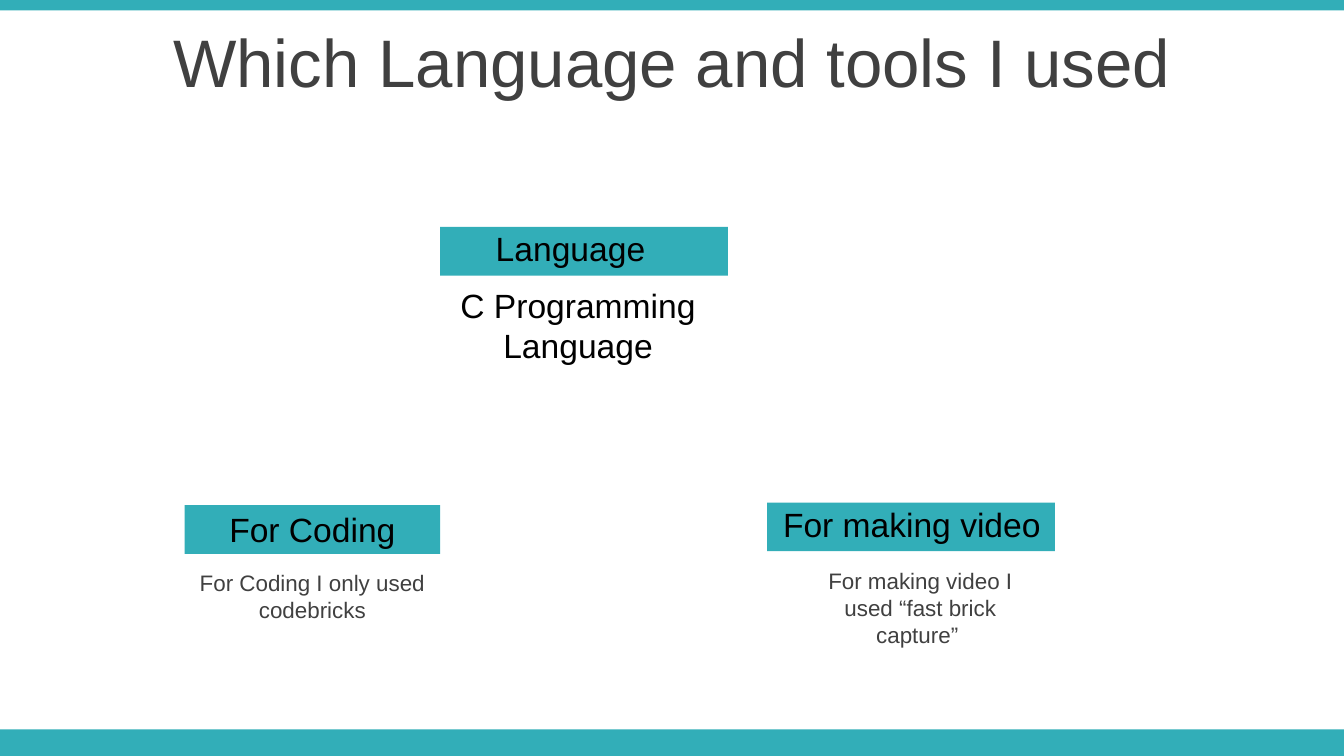
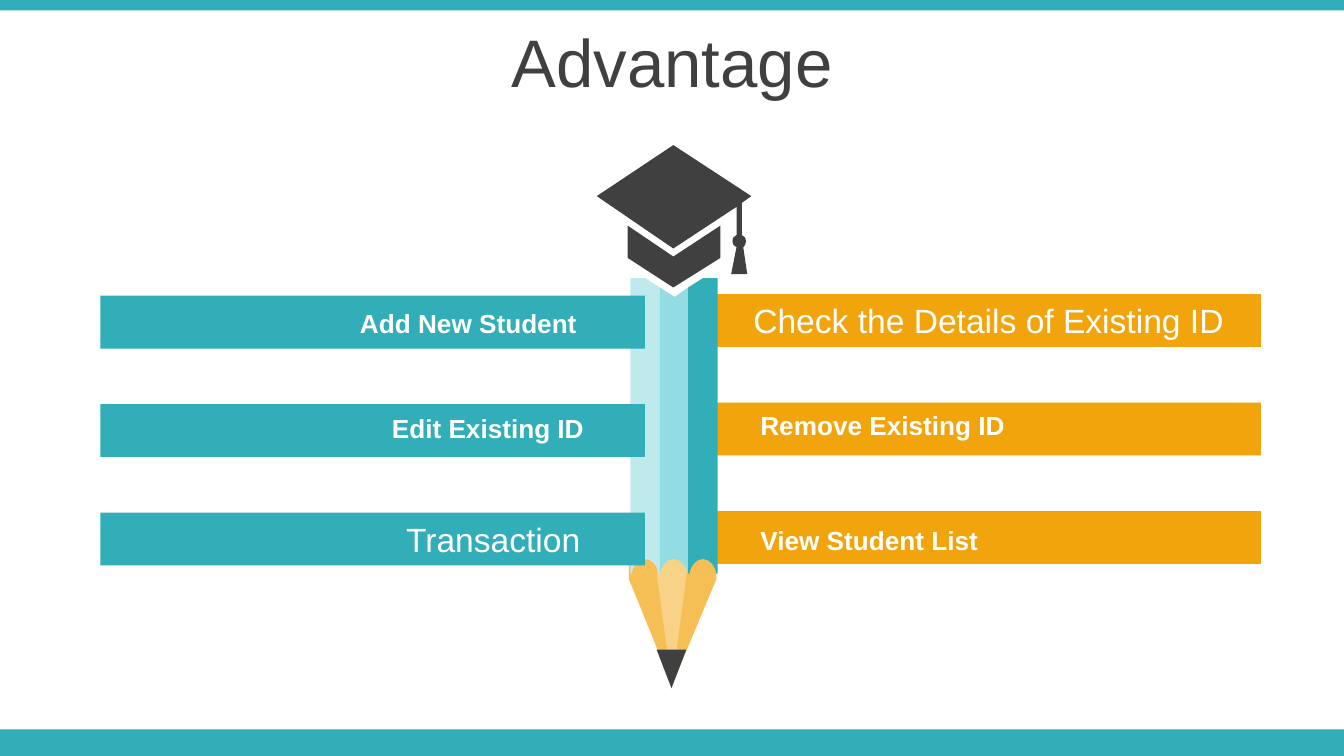
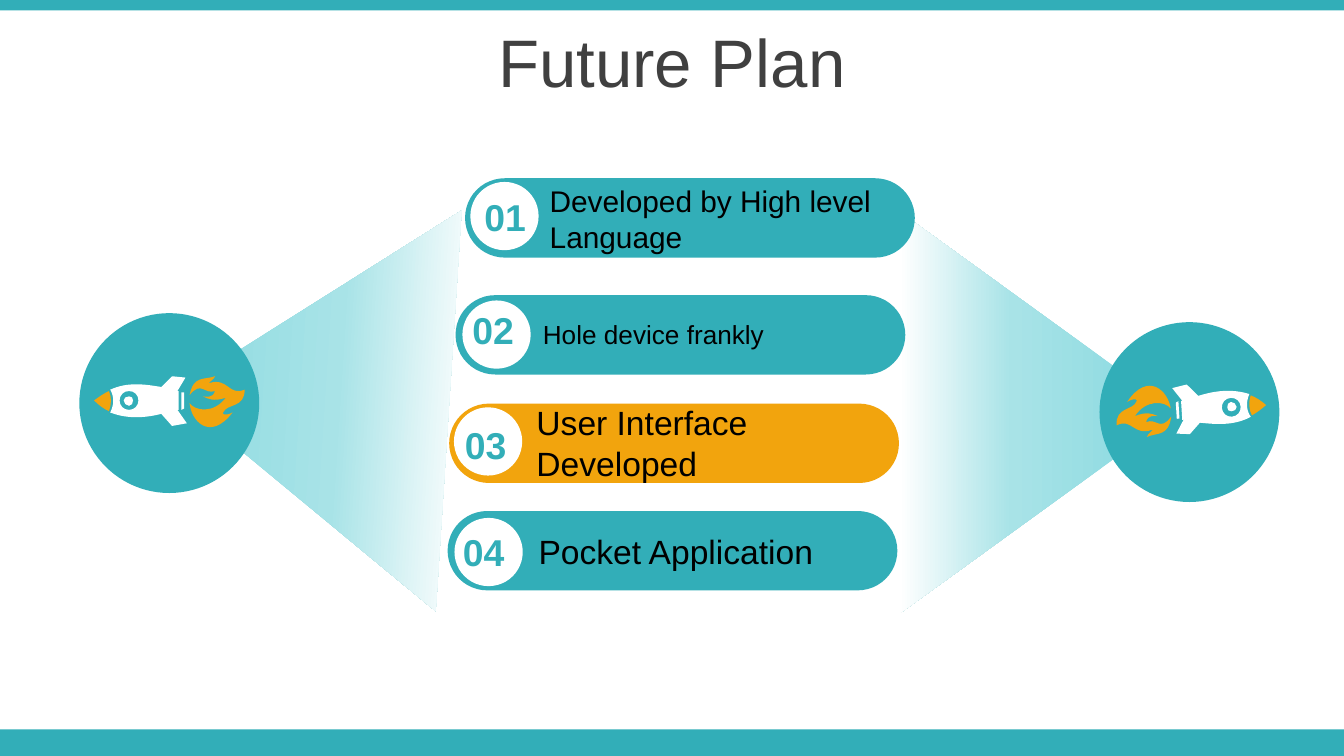
from copy import deepcopy
from dataclasses import dataclass
from math import cos, radians, sin

from pptx import Presentation
from pptx.dml.color import RGBColor
from pptx.enum.shapes import MSO_SHAPE as Preset
from pptx.enum.text import MSO_ANCHOR as Anchor, MSO_AUTO_SIZE as AutoSize, PP_ALIGN as Align
from pptx.oxml.ns import qn
from pptx.oxml.xmlchemy import OxmlElement
from pptx.shapes.autoshape import Shape
from pptx.slide import Slide
from pptx.util import Cm, Pt

Point = tuple[float, float]


@dataclass(frozen=True)
class Theme:
    font: str = "Arial"
    teal: str = "32AEB8"
    teal_light: str = "92DCE2"
    teal_pale: str = "BEEAED"
    orange: str = "F2A40D"
    wood: str = "F6BF56"
    wood_light: str = "F8D286"
    dark: str = "404040"
    black: str = "000000"
    white: str = "FFFFFF"
    beam: tuple[str, ...] = ("92DCE2", "A8E3E7", "FFFFFF")
    title: int = 36
    number: int = 20
    large: int = 18
    medium: int = 16
    small: int = 14
    note: int = 12


THEME = Theme()
SLIDE_WIDTH, SLIDE_HEIGHT = 25.4, 14.29
GRID = 0.0254


@dataclass(frozen=True)
class Box:
    left: float
    top: float
    width: float
    height: float


@dataclass(frozen=True)
class Style:
    size: int
    color: str = THEME.black
    bold: bool = False
    align: Align = Align.LEFT


@dataclass(frozen=True)
class Label:
    text: str
    box: Box
    style: Style


@dataclass(frozen=True)
class Tag:
    bar: Box
    heading: Label
    body: Label


@dataclass(frozen=True)
class Outline:
    route: str
    color: str


@dataclass(frozen=True)
class Place:
    left: float = 0
    top: float = 0
    turn: float = 0

    def locate(self, point: Point) -> Point:
        x, y = point[0] * GRID, point[1] * GRID
        c, s = cos(radians(self.turn)), sin(radians(self.turn))
        return Cm(self.left + x * c - y * s), Cm(self.top + x * s + y * c)


@dataclass(frozen=True)
class Step:
    pill: Point
    circle: Point
    number: Point
    label: Label
    color: str = THEME.teal


@dataclass(frozen=True)
class Launch:
    beam: Point
    beam_turn: float
    disk: Point
    rocket: Place


HEADING = Style(THEME.large, align=Align.CENTER)
NOTE = Style(THEME.note, THEME.dark, align=Align.CENTER)
BAR_LARGE = Style(THEME.large, THEME.white, align=Align.CENTER)
BAR_RIGHT = Style(THEME.small, THEME.white, True)
BAR_LEFT = Style(THEME.small, THEME.white, True, Align.RIGHT)

TAGS = (
    Tag(Box(3.49, 9.55, 4.83, 0.92),
        Label("For Coding", Box(3.49, 9.5, 4.83, 1.02), HEADING),
        Label("For Coding I only used codebricks", Box(3.49, 10.64, 4.83, 1.27), NOTE)),
    Tag(Box(14.5, 9.5, 5.44, 0.92),
        Label("For making video", Box(14.55, 9.4, 5.49, 1.02), Style(THEME.large)),
        Label("For making video I used “fast brick capture” ", Box(14.98, 10.6, 4.83, 1.8), NOTE)),
    Tag(Box(8.32, 4.29, 5.44, 0.92),
        Label("Language", Box(9.12, 4.19, 5.38, 1.02), Style(THEME.large)),
        Label("C Programming Language", Box(8.32, 5.26, 5.21, 1.8), HEADING)),
)

BAR_LABELS = (
    Label("Remove Existing ID", Box(14.12, 7.62, 6.58, 0.86), BAR_RIGHT),
    Label("View Student List", Box(14.12, 9.78, 6.58, 0.86), BAR_RIGHT),
    Label("Add New Student ", Box(4.71, 5.69, 6.58, 0.86), BAR_LEFT),
    Label("Edit Existing ID", Box(4.71, 7.67, 6.58, 0.86), BAR_LEFT),
)

PENCIL = (
    Outline("M 468 415 L 533 416 L 533 431 L 533 431 L 500 510 L 468 431 L 468 431 L 468 430 Z",
            THEME.wood),
    Outline("M 489 415 L 511 415 L 511 426 L 500 510 L 489 430 L 489 430 L 489 430 L 489 415 Z",
            THEME.wood_light),
    Outline("M 469 207 L 480 207 L 491 214 L 491 427 L 490 427 C 489 421 485 416 480 416 "
            "C 475 416 471 421 470 427 L 469 427 Z", THEME.teal_pale),
    Outline("M 491 214 L 502 221 L 512 214 L 512 427 L 512 427 C 511 421 506 416 501 416 "
            "C 496 416 492 421 491 427 L 491 427 Z", THEME.teal_light),
    Outline("M 523 207 L 534 207 L 534 427 L 533 427 C 532 421 528 416 523 416 "
            "C 518 416 514 421 513 427 L 512 427 L 512 214 Z", THEME.teal),
)
CAP = Outline(
    "M 467 168 L 501 191 L 536 168 L 536 192 L 501 214 L 467 192 Z "
    "M 501 108 L 559 146 L 552 151 L 552 175 C 554 176 555 177 555 180 C 555 182 554 183 553 184 "
    "L 556 204 L 544 204 L 548 184 C 546 183 545 182 545 180 C 545 177 546 176 548 175 "
    "L 548 154 L 501 185 L 444 146 Z", THEME.dark)

ROCKET = (
    Outline(
        "M 39 7 L 39 -6 C 40 -6 41 -6 41 -6 L 41 6 Z "
        "M -4 0 C -4 -2 -2 -3 0 -3 C 2 -3 3 -2 3 0 C 3 2 2 4 0 4 C -2 4 -4 2 -4 0 Z "
        "M -7 0 C -7 4 -4 7 0 7 C 4 7 7 4 7 0 C 7 -4 4 -7 0 -7 C -4 -7 -7 -4 -7 0 Z "
        "M -14 9 C -11 3 -11 -3 -14 -8 C -1 -14 12 -12 24 -10 L 32 -18 L 42 -17 L 36 -7 "
        "L 37 -7 L 37 7 C 37 7 36 7 36 7 L 43 17 L 32 19 L 24 10 L 24 10 L 24 10 "
        "C 12 13 -1 14 -14 9 Z", THEME.white),
    Outline("M -26 0 C -22 -3 -19 -5 -15 -7 C -13 -3 -13 3 -15 8 C -19 6 -22 4 -26 0 Z",
            THEME.orange),
    Outline(
        "M 45 2 C 49 8 63 10 72 -2 C 63 1 59 -1 55 -3 C 57 -3 62 -1 64 -7 C 56 -4 54 -15 45 -4 "
        "C 48 -19 56 -15 64 -18 C 64 -16 57 -12 60 -13 C 74 -17 74 -3 86 -8 C 86 6 73 2 70 9 "
        "C 69 10 71 12 77 9 C 60 31 46 15 45 2 Z", THEME.orange),
)

STEPS = (
    Step((8.79, 3.37), (8.89, 3.44), (8.19, 3.55),
         Label("Developed by High level Language", Box(10.14, 3.33, 6.68, 1.63), Style(THEME.medium))),
    Step((8.61, 5.58), (8.74, 5.68), (7.96, 5.69),
         Label("Hole device frankly", Box(10.01, 5.89, 6.68, 0.86), Style(THEME.small))),
    Step((8.49, 7.63), (8.58, 7.7), (7.82, 7.85),
         Label("User Interface Developed", Box(9.89, 7.48, 4.78, 1.8), Style(THEME.large)),
         THEME.orange),
    Step((8.46, 9.66), (8.59, 9.79), (7.78, 9.88),
         Label("Pocket Application", Box(9.93, 9.91, 6.05, 1.02), Style(THEME.large))),
)
RIGHT_LAUNCH = Launch((15.32, 5.69), 90, (20.78, 6.09), Place(23.27, 7.7, 176.4))
LEFT_LAUNCH = Launch((2.58, 5.52), 273.7, (1.5, 5.92), Place(2.44, 7.57))


def paint(shape: Shape, color: str) -> Shape:
    shape.shadow.inherit = False
    shape.fill.solid()
    shape.fill.fore_color.rgb = RGBColor.from_string(color)
    shape.line.fill.background()
    return shape


def add_preset(slide: Slide, preset: Preset, box: Box, color: str) -> Shape:
    shape = slide.shapes.add_shape(
        preset, Cm(box.left), Cm(box.top), Cm(box.width), Cm(box.height))
    return paint(shape, color)


def write(shape: Shape, text: str, style: Style) -> None:
    text_frame = shape.text_frame
    text_frame.word_wrap = True
    text_frame.text = text
    paragraph = text_frame.paragraphs[0]
    paragraph.alignment = style.align
    for run in paragraph.runs:
        run.font.name = THEME.font
        run.font.size = Pt(style.size)
        run.font.bold = style.bold
        run.font.color.rgb = RGBColor.from_string(style.color)


def add_label(slide: Slide, label: Label) -> Shape:
    box = label.box
    shape = slide.shapes.add_textbox(Cm(box.left), Cm(box.top), Cm(box.width), Cm(box.height))
    write(shape, label.text, label.style)
    shape.text_frame.auto_size = AutoSize.SHAPE_TO_FIT_TEXT
    return shape


def trace(contour: str) -> list[Point]:
    numbers = [float(token) for token in contour.split() if token not in "MLC"]
    return list(zip(numbers[::2], numbers[1::2]))


def bend(shape: Shape, route: str) -> None:
    lines = iter(list(shape._element.iter(qn("a:lnTo"))))
    for command in (token for token in route.split() if token in "LC"):
        line = next(lines)
        if command == "C":
            curve = OxmlElement("a:cubicBezTo")
            line.addprevious(curve)
            for control in (line, next(lines), next(lines)):
                curve.append(control[0])
                control.getparent().remove(control)


def add_outline(slide: Slide, outline: Outline, place: Place = Place()) -> None:
    builder = None
    for contour in outline.route.split("Z")[:-1]:
        start, *rest = map(place.locate, trace(contour))
        if builder is None:
            builder = slide.shapes.build_freeform(*start)
        else:
            builder.move_to(*start)
        builder.add_line_segments(rest, close=True)
    shape = paint(builder.convert_to_shape(), outline.color)
    bend(shape, outline.route)


def add_titled_slide(presentation: Presentation, title: str) -> Slide:
    slide = presentation.slides.add_slide(presentation.slide_layouts[6])
    for top, height in ((13.79, 0.5), (0, 0.2)):
        add_preset(slide, Preset.RECTANGLE, Box(0, top, SLIDE_WIDTH, height), THEME.teal)
    style = Style(THEME.title, THEME.dark, align=Align.CENTER)
    text_frame = add_label(slide, Label(title, Box(0, 0.34, SLIDE_WIDTH, 1.6), style)).text_frame
    text_frame.auto_size = AutoSize.NONE
    text_frame.vertical_anchor = Anchor.MIDDLE
    text_frame.paragraphs[0].space_before = Pt(THEME.title * 0.2)
    return slide


def build_tools(presentation: Presentation) -> None:
    slide = add_titled_slide(presentation, "Which Language and tools I used")
    for tag in TAGS:
        add_preset(slide, Preset.RECTANGLE, tag.bar, THEME.teal)
        add_label(slide, tag.heading)
        add_label(slide, tag.body)


def add_bars(slide: Slide, left: float, top: float, color: str) -> list[Shape]:
    return [add_preset(slide, Preset.RECTANGLE, Box(left, top + 2.05 * row, 10.29, 1), color)
            for row in range(3)]


def build_advantage(presentation: Presentation) -> None:
    slide = add_titled_slide(presentation, "Advantage")
    details_bar = add_bars(slide, 13.54, 5.56, THEME.orange)[0]
    write(details_bar, "Check the Details of Existing ID", BAR_LARGE)
    for outline in PENCIL:
        add_outline(slide, outline)
    tip = add_preset(slide, Preset.ISOSCELES_TRIANGLE, Box(12.41, 12.28, 0.56, 0.73), THEME.dark)
    tip.rotation = 180
    add_outline(slide, CAP)
    transaction_bar = add_bars(slide, 1.9, 5.59, THEME.teal)[-1]
    write(transaction_bar, "Transaction", Style(THEME.large, THEME.white, align=Align.RIGHT))
    transaction_bar.text_frame.margin_right = Cm(1.22)
    for label in BAR_LABELS:
        add_label(slide, label)


def add_launch(slide: Slide, launch: Launch) -> None:
    beam = add_preset(slide, Preset.TRAPEZOID, Box(*launch.beam, 7.59, 4.22), THEME.teal_light)
    beam.adjustments[0] = 0.722
    beam.rotation = launch.beam_turn
    beam.fill.gradient()
    beam.fill.gradient_angle = 270
    stop_list = beam._element.spPr.find(qn("a:gradFill")).find(qn("a:gsLst"))
    stop_list.insert(1, deepcopy(stop_list[0]))
    for index, (stop, color) in enumerate(zip(beam.fill.gradient_stops, THEME.beam)):
        stop.position = index / 2
        stop.color.rgb = RGBColor.from_string(color)
    add_preset(slide, Preset.OVAL, Box(*launch.disk, 3.4, 3.4), THEME.teal)
    for outline in ROCKET:
        add_outline(slide, outline, launch.rocket)


def build_future(presentation: Presentation) -> None:
    slide = add_titled_slide(presentation, "Future Plan")
    number_style = Style(THEME.number, THEME.teal, True, Align.CENTER)
    add_launch(slide, RIGHT_LAUNCH)
    for number, step in enumerate(STEPS, start=1):
        pill = add_preset(slide, Preset.ROUNDED_RECTANGLE, Box(*step.pill, 8.5, 1.5), step.color)
        pill.adjustments[0] = 0.5
        add_preset(slide, Preset.OVAL, Box(*step.circle, 1.29, 1.29), THEME.white)
        add_label(slide, Label(f"{number:02}", Box(*step.number, 2.72, 1.12), number_style))
        add_label(slide, step.label)
    add_launch(slide, LEFT_LAUNCH)


def main() -> None:
    presentation = Presentation()
    presentation.slide_width = Cm(SLIDE_WIDTH)
    presentation.slide_height = Cm(SLIDE_HEIGHT)
    build_tools(presentation)
    build_advantage(presentation)
    build_future(presentation)
    presentation.save("out.pptx")


if __name__ == "__main__":
    main()
